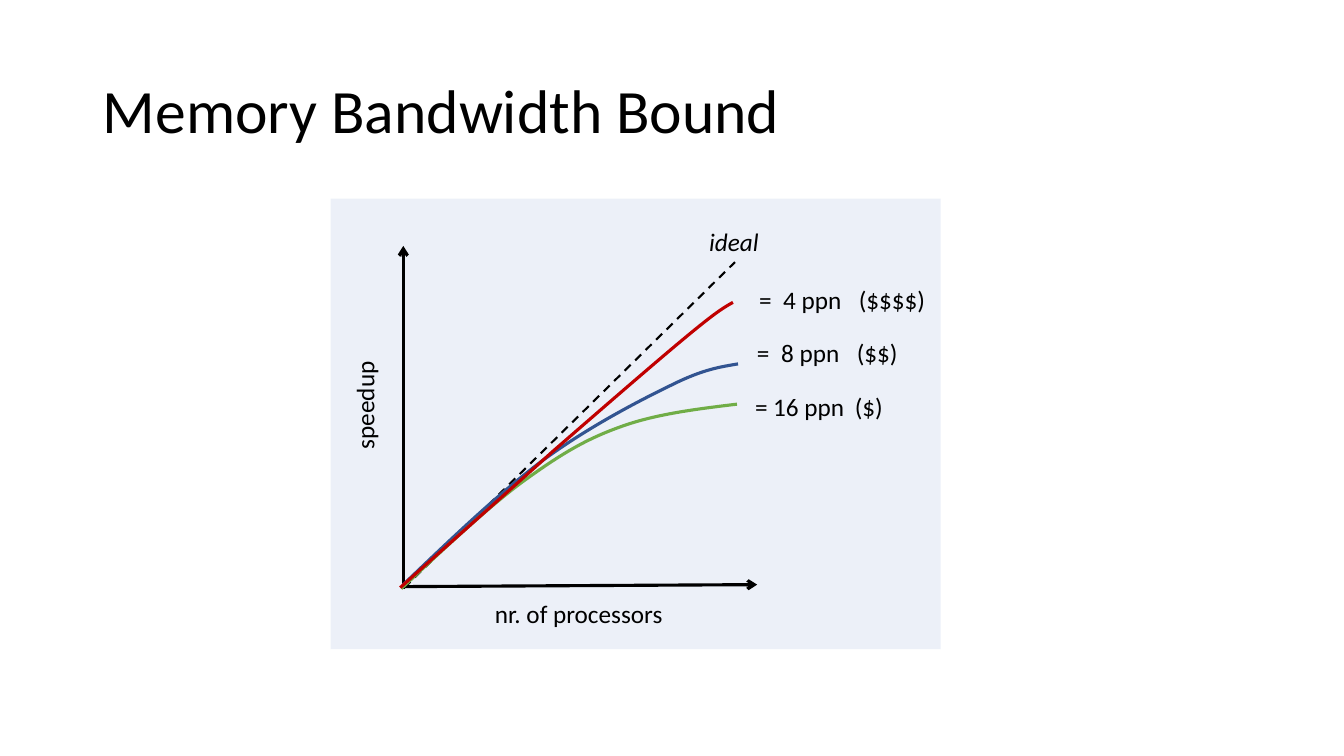
from pptx import Presentation
from pptx.dml.color import RGBColor
from pptx.enum.dml import MSO_LINE
from pptx.enum.shapes import MSO_CONNECTOR, MSO_SHAPE
from pptx.enum.text import MSO_ANCHOR, PP_ALIGN
from pptx.oxml.ns import qn
from pptx.oxml.xmlchemy import OxmlElement
from pptx.util import Inches, Pt

STRAIGHT = MSO_CONNECTOR.STRAIGHT
RECTANGLE = MSO_SHAPE.RECTANGLE
DASH = MSO_LINE.DASH
MIDDLE = MSO_ANCHOR.MIDDLE
LEFT, CENTER = PP_ALIGN.LEFT, PP_ALIGN.CENTER

FONT = "Calibri"
COLORS = {"text": "000000", "panel": "DAE3F3", "blue": "325491", "green": "70AD47", "red": "C00000"}

TITLE = "Memory Bandwidth Bound"
TITLE_BOX = (0.92, 0.4, 11.5, 1.45)
PANEL_BOX = (3.28, 1.97, 6.05, 4.47)

AXES = [((4, 5.82), (7.51, 5.8)), ((4, 5.84), (4, 2.44))]
IDEAL_LINE = ((4.01, 5.83), (7.29, 2.6))

SPEEDUP_CURVES = [
    ("blue", [(4, 5.8), (4.47, 5.35), (4.94, 4.9), (5.38, 4.57), (5.83, 4.24),
              (6.33, 3.98), (6.66, 3.82), (6.98, 3.66), (7.15, 3.64), (7.32, 3.61)]),
    ("green", [(3.98, 5.84), (4.4, 5.45), (4.81, 5.06), (5.17, 4.79), (5.53, 4.53),
               (5.78, 4.37), (6.14, 4.24), (6.49, 4.11), (6.9, 4.06), (7.31, 4.01)]),
    ("red", [(3.97, 5.83), (4.47, 5.38), (4.97, 4.94), (5.47, 4.49), (5.93, 4.09),
             (6.46, 3.63), (6.76, 3.38), (7.06, 3.13), (7.16, 3.06), (7.27, 3)]),
]

AXIS_LABELS = [
    ("nr. of processors", (4.8, 5.89, 1.88, 0.4), 0, False),
    ("speedup", (3.07, 3.82, 1.09, 0.4), 270, False),
    ("ideal", (6.93, 2.2, 0.7, 0.4), 0, True),
]
LEGEND = [
    ("=\t4 ppn\t($$$$)", (0.24, 0.99)),
    ("=\t8 ppn\t($$)", (0.24, 0.99)),
    ("= 16 ppn\t($)", (0.99,)),
]
LEGEND_LEFT, LEGEND_INDENT = 7.43, -0.02
LEGEND_TOP, LEGEND_PITCH = 2.77, 0.53
LEGEND_SIZE = (1.93, 0.4)


def color(name):
    return RGBColor.from_string(COLORS[name])


def inches(values):
    return [Inches(value) for value in values]


def add_run(paragraph, text, size, italic=False):
    run = paragraph.add_run()
    run.text = text
    run.font.name = FONT
    run.font.size = Pt(size)
    run.font.italic = italic
    run.font.color.rgb = color("text")


def add_label(slide, text, box, rotation=0, italic=False, tabs=()):
    label = slide.shapes.add_textbox(*inches(box))
    label.rotation = rotation
    label.text_frame.word_wrap = bool(tabs)
    paragraph = label.text_frame.paragraphs[0]
    if tabs:
        tab_list = OxmlElement("a:tabLst")
        for position in tabs:
            tab = OxmlElement("a:tab")
            tab.set("pos", str(Inches(position)))
            tab.set("algn", "l")
            tab_list.append(tab)
        paragraph._p.get_or_add_pPr().append(tab_list)
    paragraph.alignment = LEFT if tabs else CENTER
    add_run(paragraph, text, 18, italic)


def add_line(slide, start, end, width, dashed=False, arrow=False):
    connector = slide.shapes.add_connector(STRAIGHT, *inches(start + end))
    connector.line.color.rgb = color("text")
    connector.line.width = Pt(width)
    if dashed:
        connector.line.dash_style = DASH
    properties = connector.element.spPr
    if arrow:
        head = OxmlElement("a:tailEnd")
        head.set("type", "arrow")
        properties.find(qn("a:ln")).append(head)
    properties.append(OxmlElement("a:effectLst"))


def add_curve(slide, name, controls):
    start, *rest = [inches(point) for point in controls]
    builder = slide.shapes.build_freeform(*start)
    builder.add_line_segments(rest, close=False)
    curve = builder.convert_to_shape()
    segments = list(curve.element.iter(qn("a:lnTo")))
    outline = segments[0].getparent()
    for first in range(0, len(segments), 3):
        bezier = OxmlElement("a:cubicBezTo")
        for segment in segments[first:first + 3]:
            bezier.append(segment[0])
            outline.remove(segment)
        outline.append(bezier)
    curve.shadow.inherit = False
    curve.fill.background()
    curve.line.color.rgb = color(name)
    curve.line.width = Pt(2.25)


def add_title(slide):
    title = slide.shapes.title
    title.left, title.top, title.width, title.height = inches(TITLE_BOX)
    title.text_frame.vertical_anchor = MIDDLE
    paragraph = title.text_frame.paragraphs[0]
    paragraph.alignment = LEFT
    paragraph.line_spacing = 0.9
    add_run(paragraph, TITLE, 44)


def add_panel(slide):
    panel = slide.shapes.add_shape(RECTANGLE, *inches(PANEL_BOX))
    panel.shadow.inherit = False
    panel.fill.solid()
    panel.fill.fore_color.rgb = color("panel")
    panel.line.fill.background()
    alpha = OxmlElement("a:alpha")
    alpha.set("val", "50000")
    panel.element.spPr.find(qn("a:solidFill"))[0].append(alpha)


def main():
    presentation = Presentation()
    presentation.slide_width, presentation.slide_height = Inches(13.33), Inches(7.5)
    slide = presentation.slides.add_slide(presentation.slide_layouts[5])
    add_title(slide)
    add_panel(slide)
    for start, end in AXES:
        add_line(slide, start, end, 2.25, arrow=True)
    add_line(slide, *IDEAL_LINE, 1.5, dashed=True)
    for name, controls in SPEEDUP_CURVES:
        add_curve(slide, name, controls)
    for text, box, rotation, italic in AXIS_LABELS:
        add_label(slide, text, box, rotation, italic)
    for row, (text, tabs) in enumerate(LEGEND):
        corner = (LEGEND_LEFT + row * LEGEND_INDENT, LEGEND_TOP + row * LEGEND_PITCH)
        add_label(slide, text, corner + LEGEND_SIZE, tabs=tabs)
    presentation.save("out.pptx")


if __name__ == "__main__":
    main()
